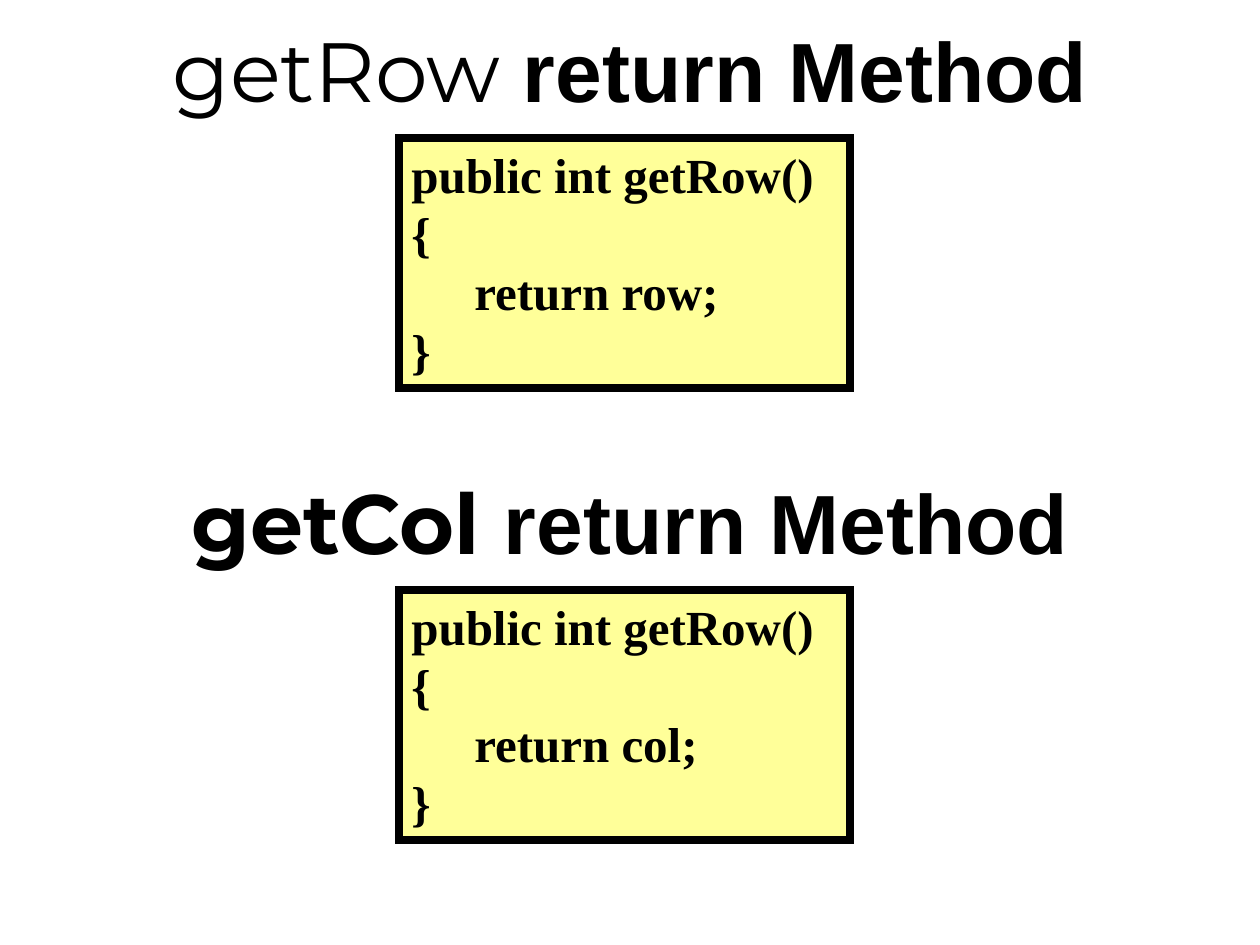
from lxml.etree import SubElement
from pptx import Presentation
from pptx.dml.color import RGBColor
from pptx.enum.shapes import MSO_SHAPE
from pptx.enum.text import MSO_ANCHOR, MSO_AUTO_SIZE, PP_ALIGN
from pptx.oxml.ns import qn
from pptx.util import Inches, Pt

BLACK = RGBColor(0x00, 0x00, 0x00)
YELLOW = RGBColor(0xFF, 0xFF, 0x99)
SCALE = Inches(1) / 126


def px(n):
    return round(n * SCALE)


def add_text(p, text, font, size, bold=False, color=BLACK):
    r = p.add_run()
    r.text = text
    r.font.name = font
    r.font.size = Pt(size)
    r.font.bold = bold
    r.font.color.rgb = color


def add_tab_stop(p, position):
    tabs = SubElement(p._p.get_or_add_pPr(), qn("a:tabLst"))
    SubElement(tabs, qn("a:tab"), pos=str(position), algn="l")


def fill_heading(sp, box, method, bold):
    sp.left, sp.top, sp.width, sp.height = map(px, box)
    tf = sp.text_frame
    tf.word_wrap = True
    tf.auto_size = MSO_AUTO_SIZE.NONE
    tf.vertical_anchor = MSO_ANCHOR.MIDDLE
    p = tf.paragraphs[0]
    p.alignment = PP_ALIGN.CENTER
    p.line_spacing = 1.0
    add_text(p, f"{method} ", "Montserrat", 48, bold=bold)
    add_text(p, "return Method", "Arial", 48, bold=True)


def add_code(s, box, lines):
    sp = s.shapes.add_shape(MSO_SHAPE.RECTANGLE, *map(px, box))
    sp.shadow.inherit = False
    sp.fill.solid()
    sp.fill.fore_color.rgb = YELLOW
    sp.line.color.rgb = BLACK
    sp.line.width = Pt(4.5)
    SubElement(sp.line._get_or_add_ln(), qn("a:miter"), lim="800000")
    tf = sp.text_frame
    tf.word_wrap = True
    tf.auto_size = MSO_AUTO_SIZE.SHAPE_TO_FIT_TEXT
    tf.vertical_anchor = MSO_ANCHOR.TOP
    for i, line in enumerate(lines):
        p = tf.add_paragraph() if i else tf.paragraphs[0]
        p.alignment = PP_ALIGN.LEFT
        p.line_spacing = 1.0
        if "\t" in line:
            add_tab_stop(p, px(63))
        add_text(p, line, "Times New Roman", 28, bold=True)


def add_method(s, heading, box, method, field, bold):
    left, top, width, height = box
    fill_heading(heading, (left, top, width, 138), method, bold)
    lines = ["public int getRow()", "{", f"\treturn {field};", "}"]
    add_code(s, (left + 399, top + 138, 451, height - 138), lines)


def main():
    prs = Presentation()
    prs.slide_width, prs.slide_height = px(1260), px(945)
    s = prs.slides.add_slide(prs.slide_layouts[5])
    add_method(s, s.shapes.title, (0, 0, 1260, 388), "getRow", "row", False)
    heading = s.shapes.add_textbox(0, 0, 0, 0)
    add_method(s, heading, (0, 452, 1260, 388), "getCol", "col", True)
    prs.save("out.pptx")


if __name__ == "__main__":
    main()
